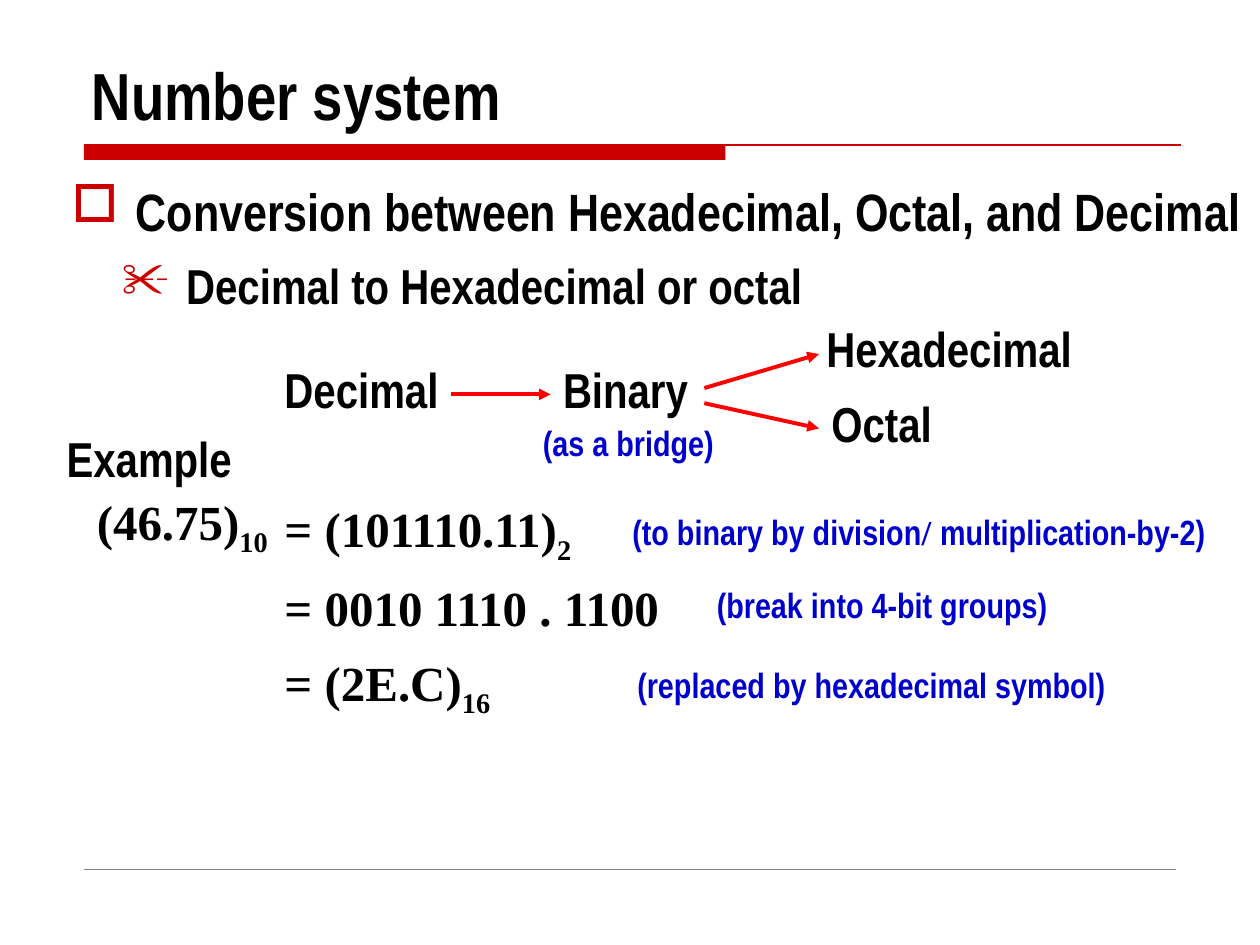
from dataclasses import dataclass

import lxml.etree
import pptx
import pptx.dml.color
import pptx.enum.shapes
import pptx.enum.text
import pptx.oxml.ns
import pptx.slide
import pptx.util

NARROW = "Arial Narrow"
SERIF = "Times New Roman"
BLACK = "000000"
BLUE = "0000CC"
DARK_RED = "CC0000"
BRIGHT_RED = "FF0000"
GRAY = "808080"


@dataclass(frozen=True)
class Wording:
    text: str
    font: str = NARROW
    subscript: bool = False


@dataclass(frozen=True)
class Label:
    left: float
    top: float
    width: float
    height: float
    wordings: tuple[Wording, ...]
    size: float = 28
    color: str = BLACK
    spacing: float = 1.15
    anchor: pptx.enum.text.MSO_ANCHOR = pptx.enum.text.MSO_ANCHOR.MIDDLE
    bullet: str = ""


@dataclass(frozen=True)
class Line:
    start: tuple[float, float]
    end: tuple[float, float]
    color: str = BRIGHT_RED
    width: float = 2.25
    arrow: bool = True


def rgb(value: str) -> pptx.dml.color.RGBColor:
    return pptx.dml.color.RGBColor.from_string(value)


def add_child(parent: lxml.etree._Element, tag: str, **attributes: str) -> lxml.etree._Element:
    return lxml.etree.SubElement(parent, pptx.oxml.ns.qn(tag), attributes)


def plain(text: str, font: str = NARROW) -> tuple[Wording, ...]:
    return (Wording(text, font),)


def based(number: str, base: str) -> tuple[Wording, ...]:
    return Wording(number, SERIF), Wording(base, SERIF, subscript=True)


def draw_label(slide: pptx.slide.Slide, label: Label) -> None:
    box = slide.shapes.add_textbox(
        *map(pptx.util.Pt, (label.left, label.top, label.width, label.height))
    )
    frame = box.text_frame
    frame.word_wrap = True
    frame.vertical_anchor = label.anchor
    paragraph = frame.paragraphs[0]
    paragraph.line_spacing = label.spacing
    if label.bullet:
        properties = paragraph._p.get_or_add_pPr()
        indent = pptx.util.Pt(36.72)
        properties.set("marL", str(indent))
        properties.set("indent", str(-indent))
        bullet_color = add_child(properties, "a:buClr")
        add_child(bullet_color, "a:srgbClr", val=DARK_RED)
        add_child(properties, "a:buChar", char=label.bullet)
    for wording in label.wordings:
        run = paragraph.add_run()
        run.text = wording.text
        run.font.name = wording.font
        run.font.size = pptx.util.Pt(label.size)
        run.font.bold = True
        run.font.color.rgb = rgb(label.color)
        if wording.subscript:
            run._r.get_or_add_rPr().set("baseline", "-25000")


def draw_line(slide: pptx.slide.Slide, line: Line) -> None:
    connector = slide.shapes.add_connector(
        pptx.enum.shapes.MSO_CONNECTOR.STRAIGHT,
        *map(pptx.util.Pt, (*line.start, *line.end)),
    )
    connector.line.color.rgb = rgb(line.color)
    connector.line.width = pptx.util.Pt(line.width)
    if line.arrow:
        add_child(connector.line._get_or_add_ln(), "a:tailEnd", type="triangle")
    add_child(connector._element.spPr, "a:effectLst")


def draw_title_bar(slide: pptx.slide.Slide) -> None:
    bar = slide.shapes.add_shape(
        pptx.enum.shapes.MSO_SHAPE.RECTANGLE,
        *map(pptx.util.Pt, (48, 82.8, 366.5, 8.64)),
    )
    bar.shadow.inherit = False
    bar.fill.solid()
    bar.fill.fore_color.rgb = rgb(DARK_RED)
    bar.line.fill.background()


TOP = pptx.enum.text.MSO_ANCHOR.TOP
BOTTOM = pptx.enum.text.MSO_ANCHOR.BOTTOM
STEP_LEFT = 155.5
STEP_WIDTH = 343.5

LABELS = (
    Label(45.36, 20.16, 630, 59.76, plain("Number system"), 38, spacing=1, anchor=BOTTOM),
    Label(33.84, 91.44, 686.16, 50.4,
          plain("Conversion between Hexadecimal, Octal, and Decimal"),
          30, spacing=1.2, anchor=TOP, bullet="□"),
    Label(62.64, 142.56, 609.84, 41.04, plain("Decimal to Hexadecimal or octal"),
          spacing=1, anchor=TOP, bullet="✂"),
    Label(30.96, 236.16, 223.92, 46.08, plain("Example")),
    Label(STEP_LEFT, 196.56, 108, 46.08, plain("Decimal")),
    Label(314.64, 196.56, 87.84, 46.08, plain("Binary")),
    Label(465.12, 173.52, 164.16, 46.08, plain("Hexadecimal")),
    Label(468, 216, 87.84, 46.08, plain("Octal")),
    Label(303.12, 233.28, 115.92, 35.28, plain("(as a bridge)"), 20, BLUE),
    Label(48.24, 271.44, 158.4, 51.12, based("(46.75)", "10")),
    Label(STEP_LEFT, 275.76, STEP_WIDTH, 51.12, based("= (101110.11)", "2")),
    Label(STEP_LEFT, 321.12, STEP_WIDTH, 46.08, plain("= 0010 1110 . 1100", SERIF)),
    Label(STEP_LEFT, 363.6, STEP_WIDTH, 51.12, based("= (2E.C)", "16")),
    Label(354.24, 284.4, 351.36, 35.28,
          (Wording("(to binary by division"), Wording("/ ", SERIF),
           Wording("multiplication-by-2)")), 20, BLUE),
    Label(402.48, 326.16, 258.48, 35.28, plain("(break into 4-bit groups)"), 20, BLUE),
    Label(357.12, 371.52, 345.6, 35.28, plain("(replaced by hexadecimal symbol)"), 20, BLUE),
)

LINES = (
    Line((48, 82.8), (674.64, 82.8), DARK_RED, 0.75, arrow=False),
    Line((48, 496.8), (672, 496.8), GRAY, 0.25, arrow=False),
    Line((257.76, 225.36), (314.64, 225.36)),
    Line((402.48, 221.76), (468, 202.32)),
    Line((402.48, 230.4), (468, 244.8)),
)


def main() -> None:
    presentation = pptx.Presentation()
    presentation.slide_width = pptx.util.Pt(720)
    presentation.slide_height = pptx.util.Pt(540)
    slide = presentation.slides.add_slide(presentation.slide_layouts[6])
    draw_title_bar(slide)
    for line in LINES:
        draw_line(slide, line)
    for label in LABELS:
        draw_label(slide, label)
    presentation.save("out.pptx")


if __name__ == "__main__":
    main()
